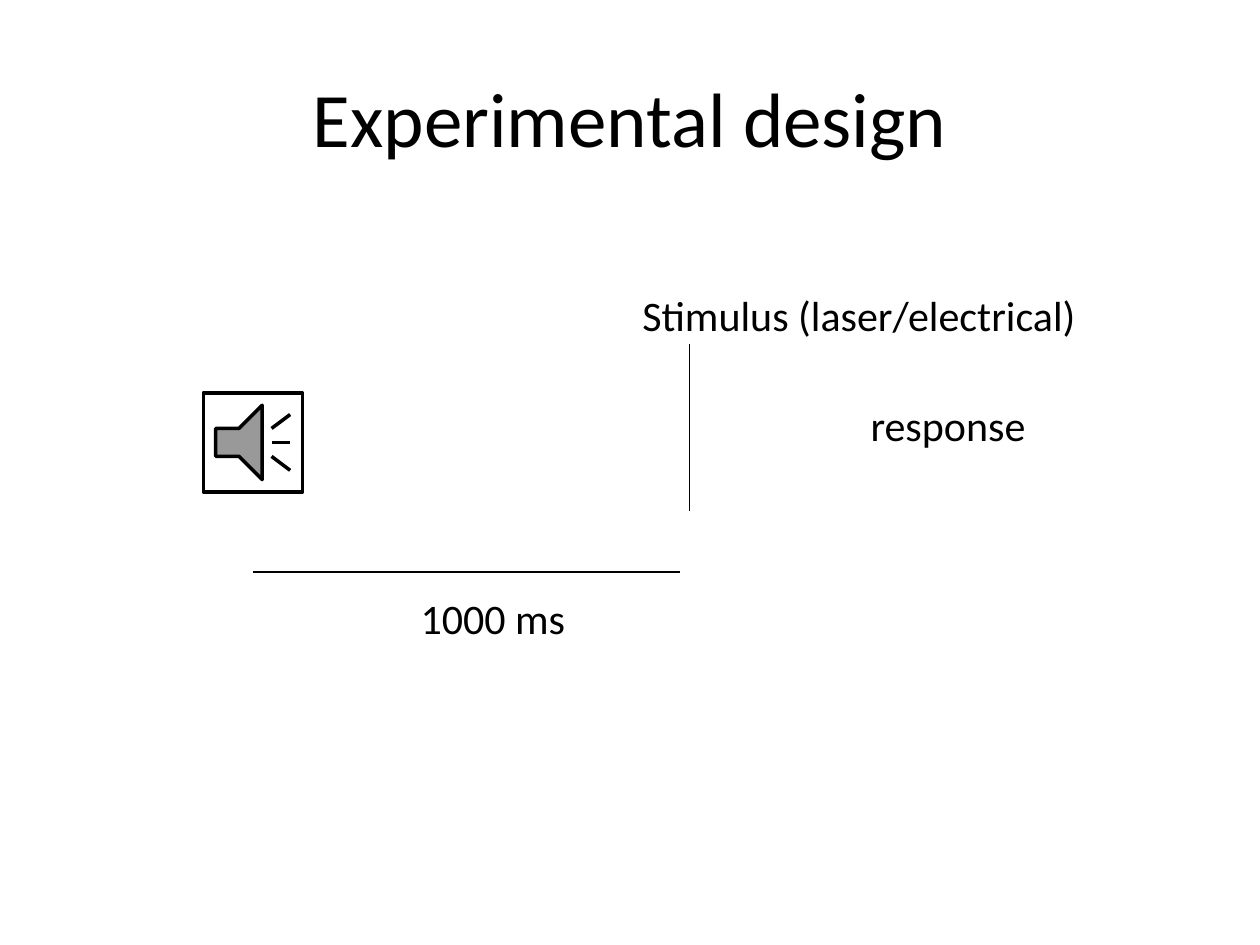
"""Build the experimental design slide: a sound cue, a delay, a stimulus and a response."""
from dataclasses import dataclass

import pptx
import pptx.dml.color
import pptx.enum.shapes
import pptx.enum.text
import pptx.oxml
import pptx.oxml.ns
import pptx.util

Cm = pptx.util.Cm
Pt = pptx.util.Pt


@dataclass(frozen=True)
class Theme:
    """Colours, font and type sizes of the slide."""
    ink: str = "000000"
    paper: str = "FFFFFF"
    font: str = "Calibri"
    title_size: int = 44
    label_size: int = 24


THEME = Theme()


def color(code):
    """Return the colour for a hexadecimal code."""
    return pptx.dml.color.RGBColor.from_string(code)


def write_text(text_frame, text, *, size, align, anchor, wrap):
    """Write one formatted paragraph into a text frame."""
    text_frame.word_wrap = wrap
    text_frame.vertical_anchor = anchor
    paragraph = text_frame.paragraphs[0]
    paragraph.alignment = align
    run = paragraph.add_run()
    run.text = text
    run.font.name = THEME.font
    run.font.size = Pt(size)
    run.font.color.rgb = color(THEME.ink)


def set_title(slide, text):
    """Place and fill the title placeholder."""
    title = slide.shapes.title
    title.left, title.top = Cm(1.27), Cm(0.76)
    title.width, title.height = Cm(22.86), Cm(3.18)
    write_text(title.text_frame, text, size=THEME.title_size, wrap=True,
               align=pptx.enum.text.PP_ALIGN.CENTER,
               anchor=pptx.enum.text.MSO_ANCHOR.MIDDLE)


def add_label(slide, text, left, top, width):
    """Add a one-line label that fits its text."""
    label = slide.shapes.add_textbox(Cm(left), Cm(top), Cm(width), Cm(1.28))
    write_text(label.text_frame, text, size=THEME.label_size, wrap=False,
               align=pptx.enum.text.PP_ALIGN.LEFT,
               anchor=pptx.enum.text.MSO_ANCHOR.TOP)
    label.text_frame.auto_size = pptx.enum.text.MSO_AUTO_SIZE.SHAPE_TO_FIT_TEXT


def add_line(slide, start, end, weight):
    """Add a straight line between two points."""
    line = slide.shapes.add_connector(
        pptx.enum.shapes.MSO_CONNECTOR.STRAIGHT, *map(Cm, start + end))
    line.line.color.rgb = color(THEME.ink)
    line.line.width = Pt(weight)
    properties = line._element.spPr
    properties.append(pptx.oxml.parse_xml(
        f"<a:effectLst {pptx.oxml.ns.nsdecls('a')}/>"))


def add_sound_button(slide, left, top, size):
    """Add the square sound button that stands for the cue."""
    button = slide.shapes.add_shape(
        pptx.enum.shapes.MSO_SHAPE.ACTION_BUTTON_SOUND,
        Cm(left), Cm(top), Cm(size), Cm(size))
    button.shadow.inherit = False
    button.fill.solid()
    button.fill.fore_color.rgb = color(THEME.paper)
    button.line.color.rgb = color(THEME.ink)
    button.line.width = Pt(2)


def main():
    """Build and save the slide."""
    presentation = pptx.Presentation()
    presentation.slide_width, presentation.slide_height = Cm(25.4), Cm(19.05)
    slide = presentation.slides.add_slide(presentation.slide_layouts[5])
    set_title(slide, "Experimental design")
    add_sound_button(slide, 4.1, 7.92, 2)
    add_line(slide, (5.1, 11.53), (13.7, 11.53), 0.75)
    add_label(slide, "1000 ms", 8.23, 11.81, 3.45)
    add_line(slide, (13.9, 6.93), (13.9, 10.31), 1)
    add_label(slide, "Stimulus (laser/electrical)", 12.7, 5.72, 9.32)
    add_label(slide, "response", 17.3, 7.92, 3.68)
    presentation.save("out.pptx")


if __name__ == "__main__":
    main()
